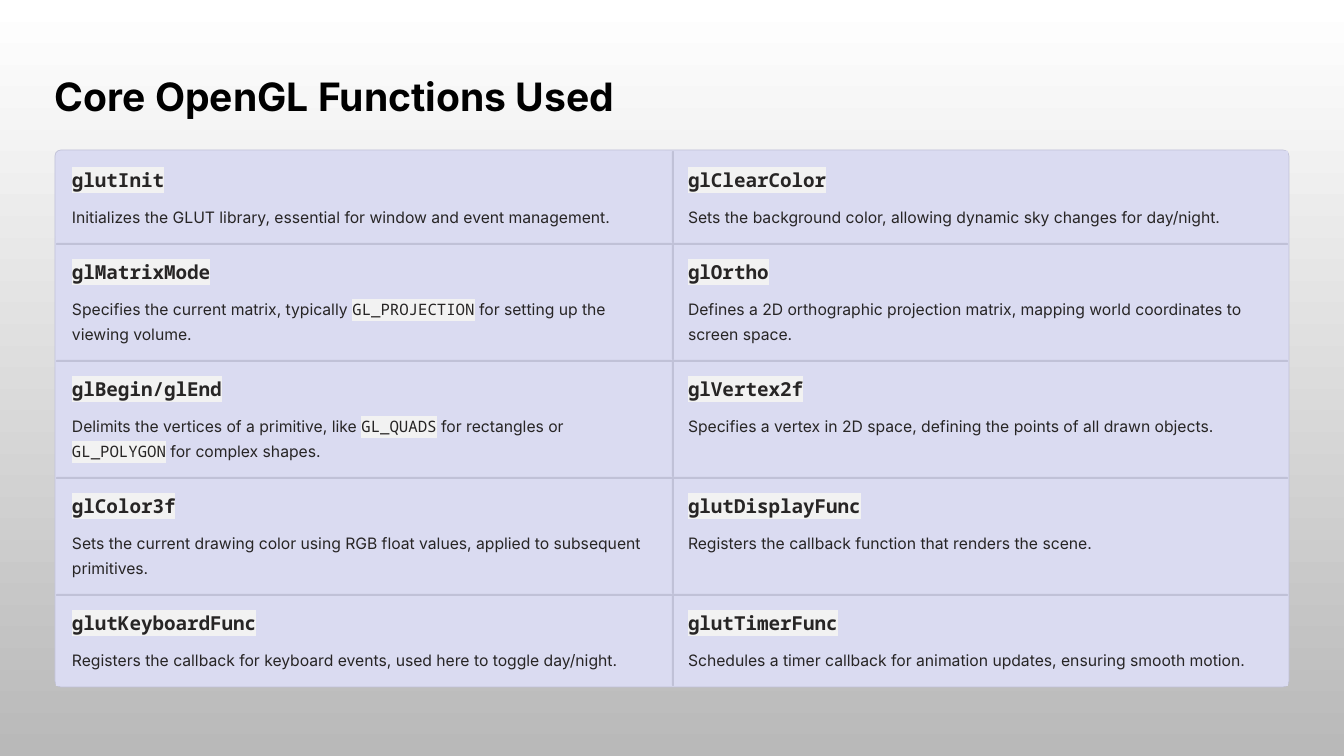
"""Build a slide that lists the core OpenGL functions in a two-column grid."""
from dataclasses import dataclass

from lxml.etree import SubElement
from pptx import Presentation
from pptx.dml.color import RGBColor
from pptx.enum.shapes import MSO_SHAPE
from pptx.oxml.ns import qn
from pptx.shapes.autoshape import Shape
from pptx.slide import Slide
from pptx.util import Emu, Pt

EMU_PER_PX = 914400 / 84
COLORS = {
    "title": "000000",
    "text": "272525",
    "cell": "DADBF1",
    "divider": "C0C1D7",
    "highlight": "F2F2F2",
    "background_top": "FFFFFF",
    "background_bottom": "B9B9B9",
}
SANS, MONO = "Inter", "Noto Sans Mono"
GRID_LEFT, GRID_TOP = 56, 151
COLUMN_WIDTH = 616
PADDING = 16
DESCRIPTION_OFFSET = 51
LINE_HEIGHT = 25
DIVIDER = 2


@dataclass(frozen=True)
class GlFunction:
    """A function name and its description, with code between backticks."""
    name: str
    description: str


@dataclass(frozen=True)
class Row:
    """Two neighbouring functions and the height of their cells."""
    height: int
    functions: tuple[GlFunction, GlFunction]


ROWS = [
    Row(92, (
        GlFunction("glutInit", "Initializes the GLUT library, essential for window and event management."),
        GlFunction("glClearColor", "Sets the background color, allowing dynamic sky changes for day/night."),
    )),
    Row(117, (
        GlFunction("glMatrixMode", "Specifies the current matrix, typically `GL_PROJECTION` for setting up the viewing volume."),
        GlFunction("glOrtho", "Defines a 2D orthographic projection matrix, mapping world coordinates to screen space."),
    )),
    Row(117, (
        GlFunction("glBegin/glEnd", "Delimits the vertices of a primitive, like `GL_QUADS` for rectangles or `GL_POLYGON` for complex shapes."),
        GlFunction("glVertex2f", "Specifies a vertex in 2D space, defining the points of all drawn objects."),
    )),
    Row(117, (
        GlFunction("glColor3f", "Sets the current drawing color using RGB float values, applied to subsequent primitives."),
        GlFunction("glutDisplayFunc", "Registers the callback function that renders the scene."),
    )),
    Row(92, (
        GlFunction("glutKeyboardFunc", "Registers the callback for keyboard events, used here to toggle day/night."),
        GlFunction("glutTimerFunc", "Schedules a timer callback for animation updates, ensuring smooth motion."),
    )),
]


def px(length: int) -> Emu:
    """Turn pixels into EMU."""
    return Emu(round(length * EMU_PER_PX))


def color(name: str) -> RGBColor:
    """Look up a named color."""
    return RGBColor.from_string(COLORS[name])


def add_box(slide: Slide, left: int, top: int, width: int, height: int, *,
            fill: str = "cell", radius: int = 0) -> Shape:
    """Draw a filled rectangle without a line, rounded when it has a radius."""
    kind = MSO_SHAPE.ROUNDED_RECTANGLE if radius else MSO_SHAPE.RECTANGLE
    shape = slide.shapes.add_shape(kind, px(left), px(top), px(width), px(height))
    shape.shadow.inherit = False
    shape.fill.solid()
    shape.fill.fore_color.rgb = color(fill)
    shape.line.fill.background()
    if radius:
        shape.adjustments[0] = radius / min(width, height)
    return shape


def add_text(slide: Slide, text: str, left: int, top: int, width: int, height: int, *,
             size: float, spacing: float, fill: str = "text", bold: bool = False,
             wrap: bool = True) -> None:
    """Write text, setting the parts between backticks as highlighted code."""
    frame = slide.shapes.add_textbox(px(left), px(top), px(width), px(height)).text_frame
    frame.margin_left = frame.margin_top = frame.margin_right = frame.margin_bottom = 0
    frame.word_wrap = wrap
    paragraph = frame.paragraphs[0]
    paragraph.line_spacing = Pt(spacing)
    for index, part in enumerate(text.split("`")):
        if not part:
            continue
        is_code = index % 2 == 1
        run = paragraph.add_run()
        run.text = part
        run.font.size = Pt(size)
        run.font.bold = bold
        run.font.color.rgb = color(fill)
        if is_code:
            highlight = SubElement(run.font._element, qn("a:highlight"))
            SubElement(highlight, qn("a:srgbClr"), val=COLORS["highlight"])
        run.font.name = MONO if is_code else SANS


def add_cell(slide: Slide, function: GlFunction, row: int, column: int,
             top: int, height: int) -> None:
    """Draw one cell with its dividers, function name and description."""
    left = GRID_LEFT + column * COLUMN_WIDTH
    add_box(slide, left, top, COLUMN_WIDTH, height, radius=0 if row or column else 7)
    if column:
        add_box(slide, left, top, DIVIDER, height, fill="divider", radius=1)
    if row:
        add_box(slide, left, top, COLUMN_WIDTH, DIVIDER, fill="divider", radius=1)
    text_left = left + PADDING
    add_text(slide, f"`{function.name}`", text_left, top + PADDING, 197, LINE_HEIGHT,
             size=16.5, spacing=21, bold=True)
    lines = 2 if len(function.description) > 80 else 1
    add_text(slide, function.description, text_left, top + DESCRIPTION_OFFSET, 585,
             lines * LINE_HEIGHT, size=13.5, spacing=21.5)


def main() -> None:
    """Build and save the presentation."""
    presentation = Presentation()
    presentation.slide_width, presentation.slide_height = px(1344), px(756)
    slide = presentation.slides.add_slide(presentation.slide_layouts[6])

    background = slide.background.fill
    background.gradient()
    background.gradient_angle = 270
    for stop, name in zip(background.gradient_stops, ("background_top", "background_bottom")):
        stop.color.rgb = color(name)

    add_text(slide, "Core OpenGL Functions Used", 55, 70, 565, 50,
             size=33.5, spacing=42, fill="title", bold=True, wrap=False)
    panel = add_box(slide, GRID_LEFT - 1, GRID_TOP - 1, 2 * COLUMN_WIDTH + 2,
                    sum(row.height for row in ROWS) + 2, radius=6)
    panel.line.color.rgb = color("divider")
    panel.line.width = Pt(0.6)

    top = GRID_TOP
    for row_index, row in enumerate(ROWS):
        for column, function in enumerate(row.functions):
            add_cell(slide, function, row_index, column, top, row.height)
        top += row.height

    presentation.save("out.pptx")


if __name__ == "__main__":
    main()
